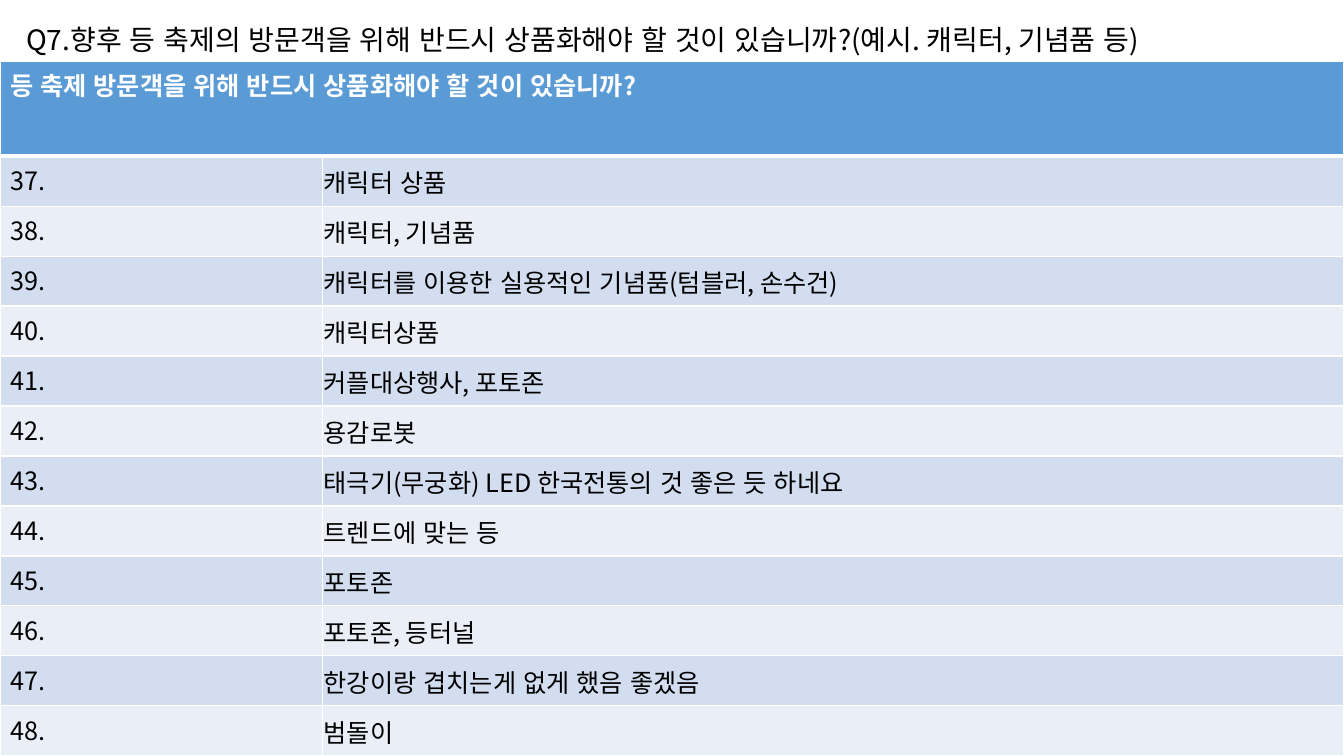
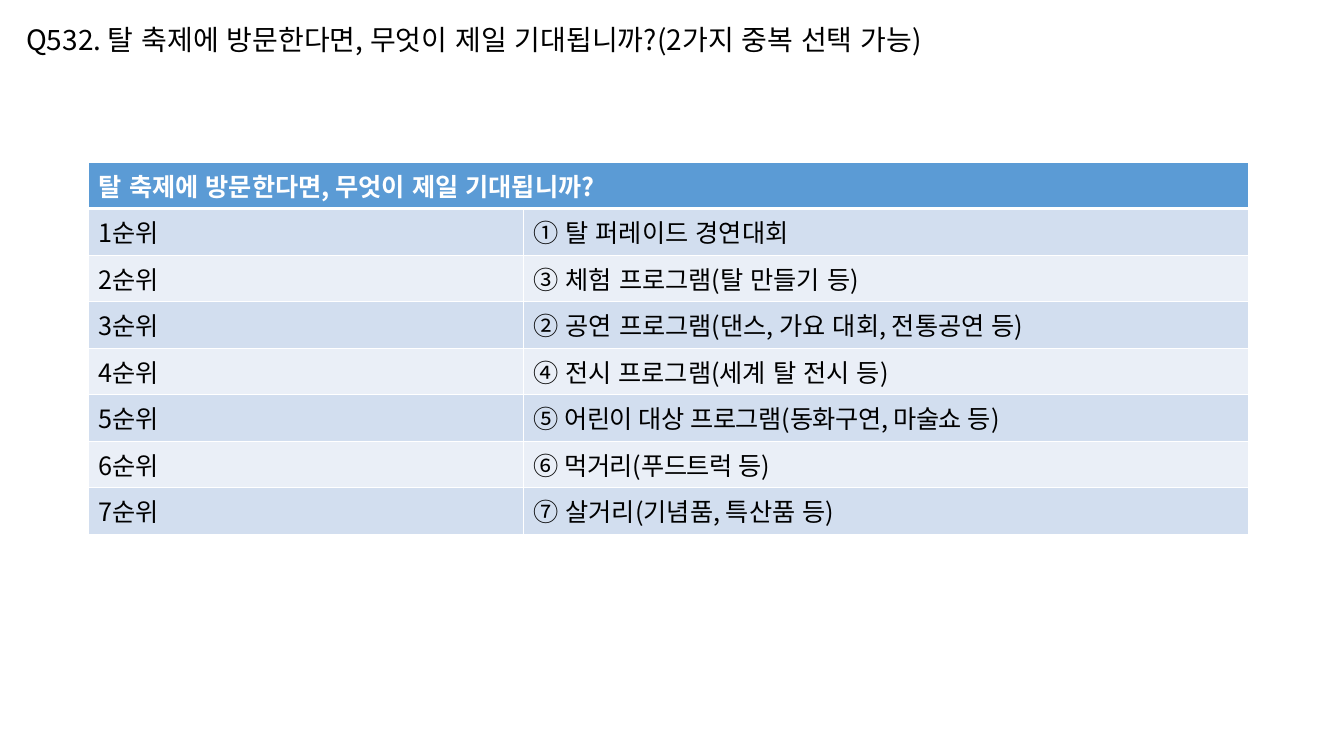
from pptx import Presentation
from pptx.dml.color import RGBColor
from pptx.enum.lang import MSO_LANGUAGE_ID
from pptx.enum.text import MSO_ANCHOR, MSO_AUTO_SIZE, PP_ALIGN
from pptx.oxml.ns import qn
from pptx.util import Inches, Pt
from lxml.etree import SubElement

FONT = "Noto Sans CJK KR"
BLACK, WHITE = "000000", "FFFFFF"
HEADER_BLUE = "5B9BD5"
BAND_COLOURS = ("D2DEEF", "EAEFF7")


def write(para, text, size=18, colour=BLACK, bold=False, spacing=0):
    span = para.add_run()
    span.text = text
    span.font.name, span.font.size, span.font.bold = FONT, Pt(size), bold
    span.font.language_id = MSO_LANGUAGE_ID.KOREAN
    span.font.color.rgb = RGBColor.from_string(colour)
    props = span.font._element
    SubElement(props, qn("a:ea")).set("typeface", FONT)
    if spacing:
        props.set("spc", str(round(spacing * 100)))


def paint(cell, fill, bottom=1):
    # Borders come before the fill in the cell properties
    props = cell._tc.get_or_add_tcPr()
    for side, width in (("L", 1), ("R", 1), ("T", 1), ("B", bottom)):
        line = SubElement(props, qn(f"a:ln{side}"), w=str(Pt(width)))
        SubElement(SubElement(line, qn("a:solidFill")), qn("a:srgbClr"), val=WHITE)
    cell.fill.solid()
    cell.fill.fore_color.rgb = RGBColor.from_string(fill)


# Answers: first column, text set tighter, text set normally
ideas = ["캐릭터 상품", "캐릭터, 기념품", "캐릭터를 이용한 실용적인 기념품(텀블러, 손수건)",
         "캐릭터상품", "커플대상행사, 포토존", "용감로봇",
         "태극기(무궁화) LED 한국전통의 것 좋은 듯 하네요", "트렌드에 맞는 등",
         "포토존", "포토존, 등터널", "한강이랑 겹치는게 없게 했음 좋겠음", "범돌이"]
programs = [("", "① 탈 퍼레이드 경연대회"),
            ("", "③ 체험 프로그램(탈 만들기 등)"),
            ("", "② 공연 프로그램(댄스, 가요 대회, 전통공연 등)"),
            ("④ ", "전시 프로그램(세계 탈 전시 등)"),
            ("⑤ 어린이 대상 프로그램(동화구연, 마술쇼 등)", ""),
            ("⑥ 먹거리(푸드트럭 등)", ""),
            ("", "⑦ 살거리(기념품, 특산품 등)")]

pages = [
    dict(title="Q7.향후 등 축제의 방문객을 위해 반드시 상품화해야 할 것이 있습니까?(예시. 캐릭터, 기념품 등)",
         title_width=12.25,
         header="등 축제 방문객을 위해 반드시 상품화해야 할 것이 있습니까?",
         rows=[(f"{number}.", "", idea) for number, idea in enumerate(ideas, 37)],
         left=0, top=0.61, columns=(3.2, 10.13),
         height=6.89, header_height=0.94, snug=True),
    dict(title="Q532. 탈 축제에 방문한다면, 무엇이 제일 기대됩니까?(2가지 중복 선택 가능)",
         title_width=9.92,
         header="탈 축제에 방문한다면, 무엇이 제일 기대됩니까?",
         rows=[(f"{rank}순위", *program) for rank, program in enumerate(programs, 1)],
         left=0.88, top=1.61, columns=(4.31, 7.19),
         height=3.69, header_height=0.46, snug=False),
]

deck = Presentation()
deck.slide_width, deck.slide_height = Inches(13.33), Inches(7.5)

for page in pages:
    slide = deck.slides.add_slide(deck.slide_layouts[5])

    # Question as the slide title
    title = slide.shapes.title
    title.left, title.top = Inches(0.16), Inches(0.17)
    title.width, title.height = Inches(page["title_width"]), Inches(0.44)
    frame = title.text_frame
    frame.word_wrap = False
    frame.auto_size = MSO_AUTO_SIZE.SHAPE_TO_FIT_TEXT
    frame.vertical_anchor = MSO_ANCHOR.TOP
    frame.paragraphs[0].alignment = PP_ALIGN.LEFT
    write(frame.paragraphs[0], page["title"], size=20)

    # Table grid: the answer rows share the height below the header
    rows = page["rows"]
    row_height = (page["height"] - page["header_height"]) / len(rows)
    table = slide.shapes.add_table(
        len(rows) + 1, 2, Inches(page["left"]), Inches(page["top"]),
        Inches(sum(page["columns"])), Inches(page["height"])).table
    for column, width in zip(table.columns, page["columns"]):
        column.width = Inches(width)
    for row in table.rows:
        row.height = Inches(row_height)
    table.rows[0].height = Inches(page["header_height"])

    # Header across both columns
    header = table.cell(0, 0)
    header.merge(table.cell(0, 1))
    write(header.text_frame.paragraphs[0], page["header"], colour=WHITE, bold=True)
    for cell in table.rows[0].cells:
        paint(cell, HEADER_BLUE, bottom=3)

    # Banded answer rows
    for index, (label, tight, plain) in enumerate(rows):
        label_cell, answer_cell = table.rows[index + 1].cells
        write(label_cell.text_frame.paragraphs[0], label)
        for text, spacing in ((tight, -0.4), (plain, 0)):
            if text:
                write(answer_cell.text_frame.paragraphs[0], text, spacing=spacing)
        if page["snug"]:
            answer_cell.vertical_anchor = MSO_ANCHOR.MIDDLE
            answer_cell.margin_left = answer_cell.margin_right = Inches(0.01)
            answer_cell.margin_top, answer_cell.margin_bottom = Inches(0.01), 0
        for cell in (label_cell, answer_cell):
            paint(cell, BAND_COLOURS[index % 2])

deck.save("out.pptx")
